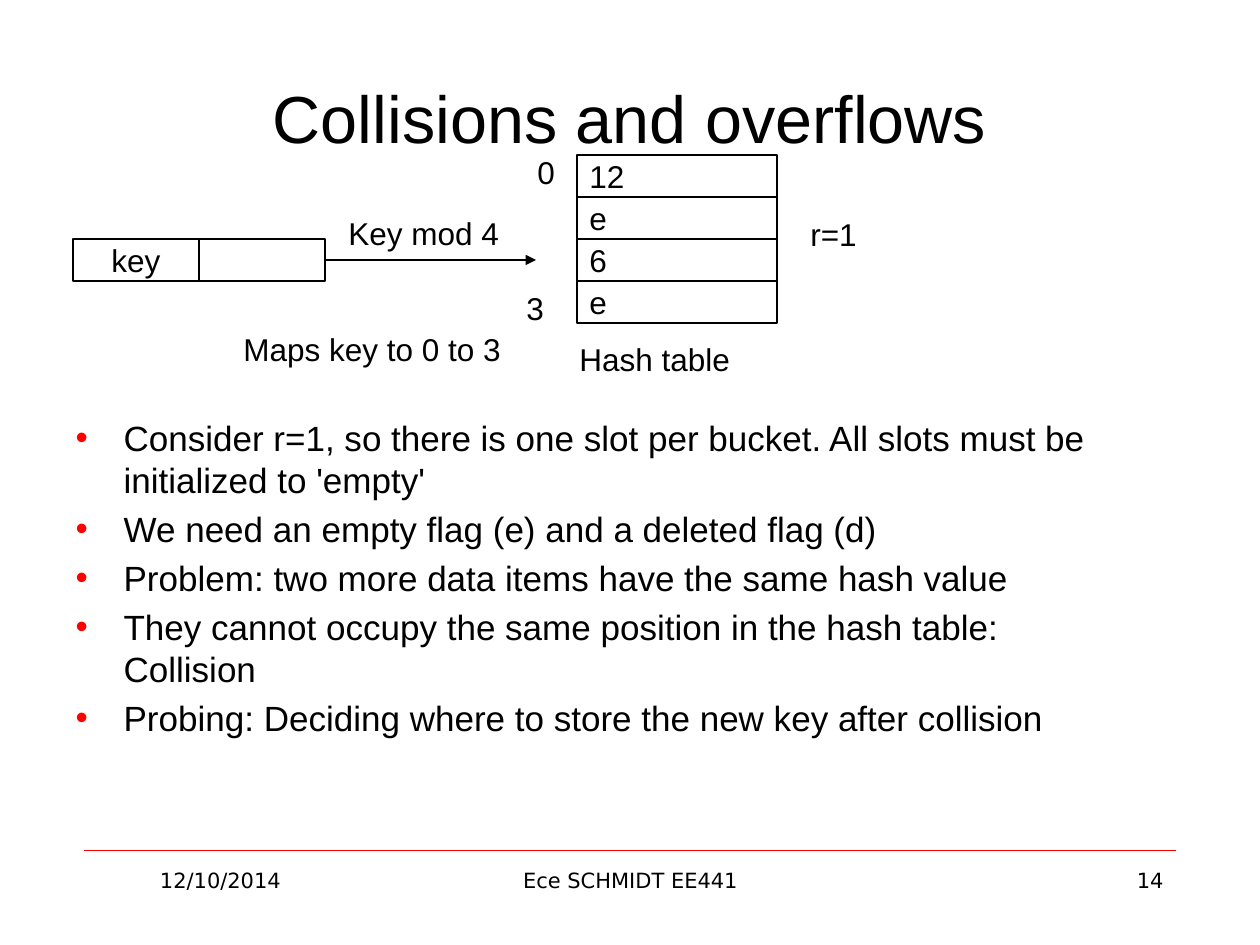
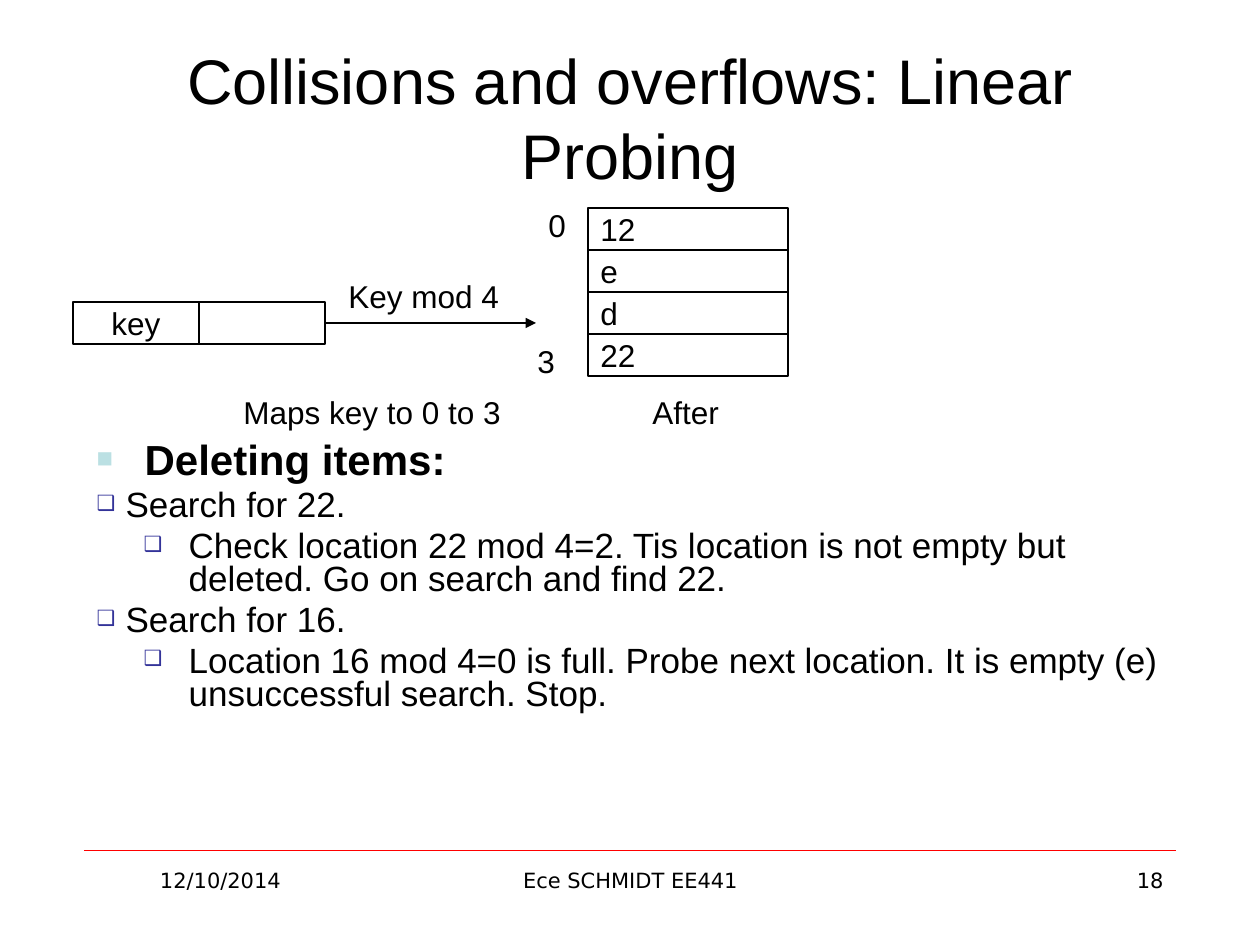
from lxml import etree
from pptx import Presentation
from pptx.dml.color import RGBColor
from pptx.enum.shapes import MSO_CONNECTOR, MSO_SHAPE
from pptx.enum.text import MSO_ANCHOR, MSO_AUTO_SIZE, PP_ALIGN
from pptx.oxml.ns import qn
from pptx.util import Emu, Pt

LEFT, CENTER, RIGHT = PP_ALIGN.LEFT, PP_ALIGN.CENTER, PP_ALIGN.RIGHT
MIDDLE = MSO_ANCHOR.MIDDLE
NO_FIT = MSO_AUTO_SIZE.NONE
RECT = MSO_SHAPE.RECTANGLE
STRAIGHT = MSO_CONNECTOR.STRAIGHT

SCALE = 914400 / 126  # EMU in one px
WIDTH, HEIGHT = 1260, 945
ROW = 42  # height of one table slot
COLORS = {"ink": "000000", "red": "FF0000", "aqua": "BBE0E3", "blue": "333399"}

# Bullet styles: sign, colour, size in percent, left margin, hang, level
DOT = ("•", "red", 100, 48, 48, 0)
SQUARE = ("■", "aqua", 65, 48, 48, 0)
BOX = ("❑", "blue", 60, 29, 45, 0)
SUB = ("❑", "blue", 60, 92, 45, 1)


def px(num):
    return Emu(round(num * SCALE))


def color(name):
    return RGBColor.from_string(COLORS[name])


class Deck:
    font = "Arial"
    small = "DejaVu Sans"

    def __init__(self):
        self.prs = Presentation()
        self.prs.slide_width, self.prs.slide_height = px(WIDTH), px(HEIGHT)
        self.slide = None

    def page(self, title, size, number):
        """Start a slide with its title and footer."""
        self.slide = self.prs.slides.add_slide(self.prs.slide_layouts[1])
        self.line(84, 850, 1176, "red", 0.25)
        for x, width, text, align in (
            (84, 273, "12/10/2014", CENTER),
            (431, 399, "Ece SCHMIDT EE441", CENTER),
            (903, 273, number, RIGHT),
        ):
            self.label(x, 861, width, text, 12, align, self.small)
        head = self.slide.shapes.title
        self.place(head, 63, 38, 1134, 158)
        head.text_frame.vertical_anchor = MIDDLE
        self.text(head.text_frame.paragraphs[0], title, size, CENTER)

    def place(self, shape, x, y, width, height):
        shape.left, shape.top = px(x), px(y)
        shape.width, shape.height = px(width), px(height)
        shape.text_frame.auto_size = NO_FIT

    def text(self, para, words, size=18, align=LEFT, font=None, bold=False):
        para.alignment = align
        run = para.add_run()
        run.text = words
        run.font.name = font or self.font
        run.font.size = Pt(size)
        run.font.bold = bold
        run.font.color.rgb = color("ink")

    def label(self, x, y, width, text, size=18, align=LEFT, font=None):
        box = self.slide.shapes.add_textbox(px(x), px(y), px(width), px(50))
        box.text_frame.word_wrap = True
        self.text(box.text_frame.paragraphs[0], text, size, align, font)

    def cell(self, x, y, width, text="", align=LEFT):
        box = self.slide.shapes.add_shape(RECT, px(x), px(y), px(width), px(ROW))
        box.shadow.inherit = False
        box.fill.background()
        box.line.color.rgb = color("ink")
        box.line.width = Pt(0.75)
        if text:
            frame = box.text_frame
            frame.word_wrap = False
            frame.vertical_anchor = MIDDLE
            self.text(frame.paragraphs[0], text, align=align)

    def line(self, x, y, end, tint="ink", width=0.75, arrow=False):
        rule = self.slide.shapes.add_connector(STRAIGHT, px(x), px(y), px(end), px(y))
        rule.line.color.rgb = color(tint)
        rule.line.width = Pt(width)
        props = rule._element.spPr
        if arrow:
            etree.SubElement(props.find(qn("a:ln")), qn("a:tailEnd"), type="triangle")
        etree.SubElement(props, qn("a:effectLst"))

    def bullet(self, para, style):
        sign, tint, size, left, hang, level = style
        para.level = level
        props = para._p.get_or_add_pPr()
        props.set("marL", str(px(left)))
        props.set("indent", str(-px(hang)))
        shade = etree.SubElement(props, qn("a:buClr"))
        etree.SubElement(shade, qn("a:srgbClr"), val=COLORS[tint])
        etree.SubElement(props, qn("a:buSzPct"), val=str(size * 1000))
        etree.SubElement(props, qn("a:buFont"), typeface=self.font)
        etree.SubElement(props, qn("a:buChar"), char=sign)

    def body(self, area, items, pitch=1.0):
        """Fill the body with (style, text, size, bold) items."""
        shape = self.slide.placeholders[1]
        self.place(shape, *area)
        frame = shape.text_frame
        for i, (style, text, size, bold) in enumerate(items):
            para = frame.add_paragraph() if i else frame.paragraphs[0]
            para.line_spacing = pitch
            para.space_before = Pt(size * 0.2)
            self.bullet(para, style)
            self.text(para, text, size, bold=bold)

    def record(self, y):
        """Key record, with the arrow that hashes it."""
        self.cell(73, y, 126, "key", CENTER)
        self.cell(199, y, 126)
        self.line(325, y + ROW // 2, 536, arrow=True)
        self.label(336, y - 31, 200, "Key mod 4")
        self.label(231, y + 85, 346, "Maps key to 0 to 3")

    def table(self, x, y, slots):
        """Hash table, with its first and last index."""
        for i, slot in enumerate(slots):
            self.cell(x, y + i * ROW, 200, slot)
        self.label(x - 52, y - 8, 73, "0")
        self.label(x - 63, y + 128, 84, "3")


def main():
    deck = Deck()

    # Collisions
    deck.page("Collisions and overflows", 38, "14")
    deck.record(239)
    deck.table(577, 155, ["12", "e", "6", "e"])
    deck.label(567, 334, 210, "Hash table")
    deck.label(798, 209, 200, "r=1")
    points = (
        "Consider r=1, so there is one slot per bucket. All slots must be initialized to 'empty'",
        "We need an empty flag (e) and a deleted flag (d)",
        "Problem: two more data items have the same hash value",
        "They cannot occupy the same position in the hash table: Collision",
        "Probing: Deciding where to store the new key after collision",
    )
    deck.body((63, 410, 1040, 431), [(DOT, text, 20, False) for text in points])

    # Linear probing
    deck.page("Collisions and overflows: Linear Probing", 36, "18")
    deck.record(302)
    deck.table(588, 208, ["12", "e", "d", "22"])
    deck.label(640, 387, 210, "After")
    deck.body((84, 437, 1113, 392), [
        (SQUARE, "Deleting items:", 24, True),
        (BOX, "Search for 22.", 20, False),
        (SUB, "Check location 22 mod 4=2. Tis location is not empty but deleted. "
              "Go on search and find 22.", 20, False),
        (BOX, "Search for 16.", 20, False),
        (SUB, "Location 16 mod 4=0 is full. Probe next location. It is empty (e) "
              "unsuccessful search. Stop.", 20, False),
    ], 0.8)

    deck.prs.save("out.pptx")


if __name__ == "__main__":
    main()
